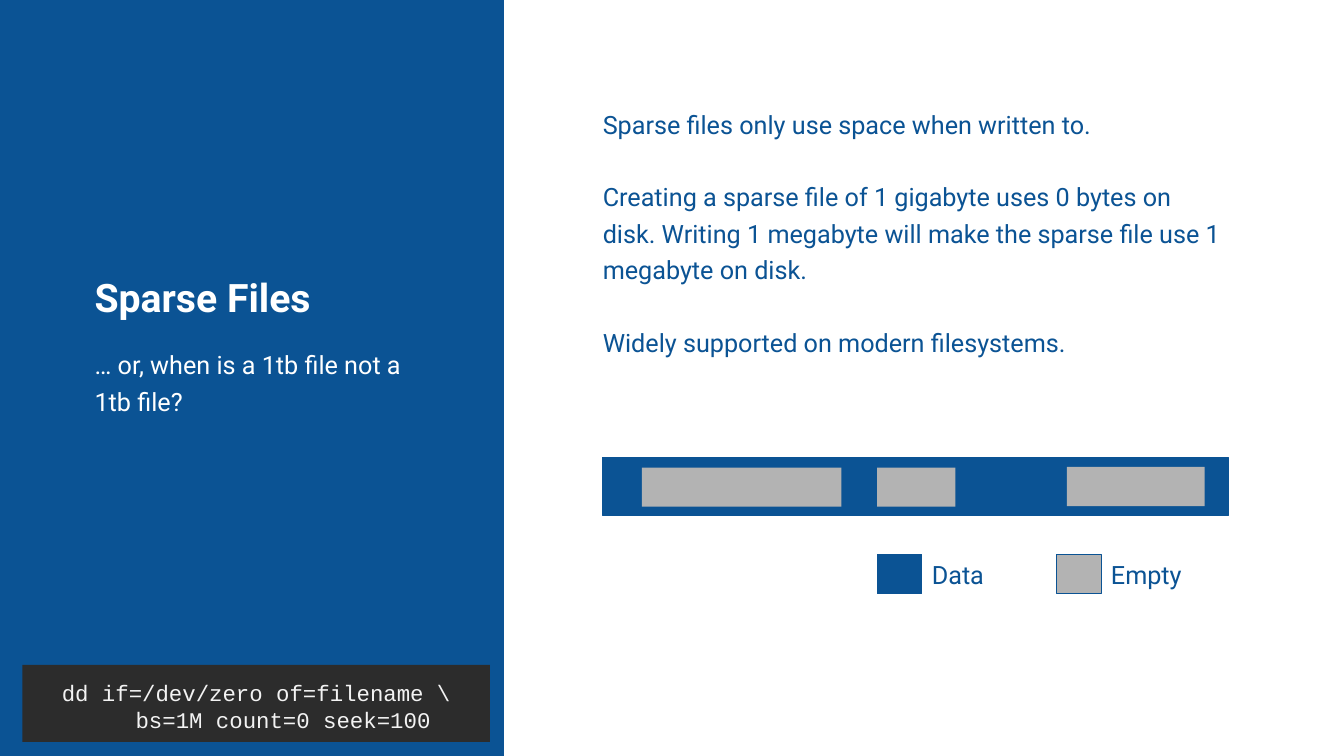
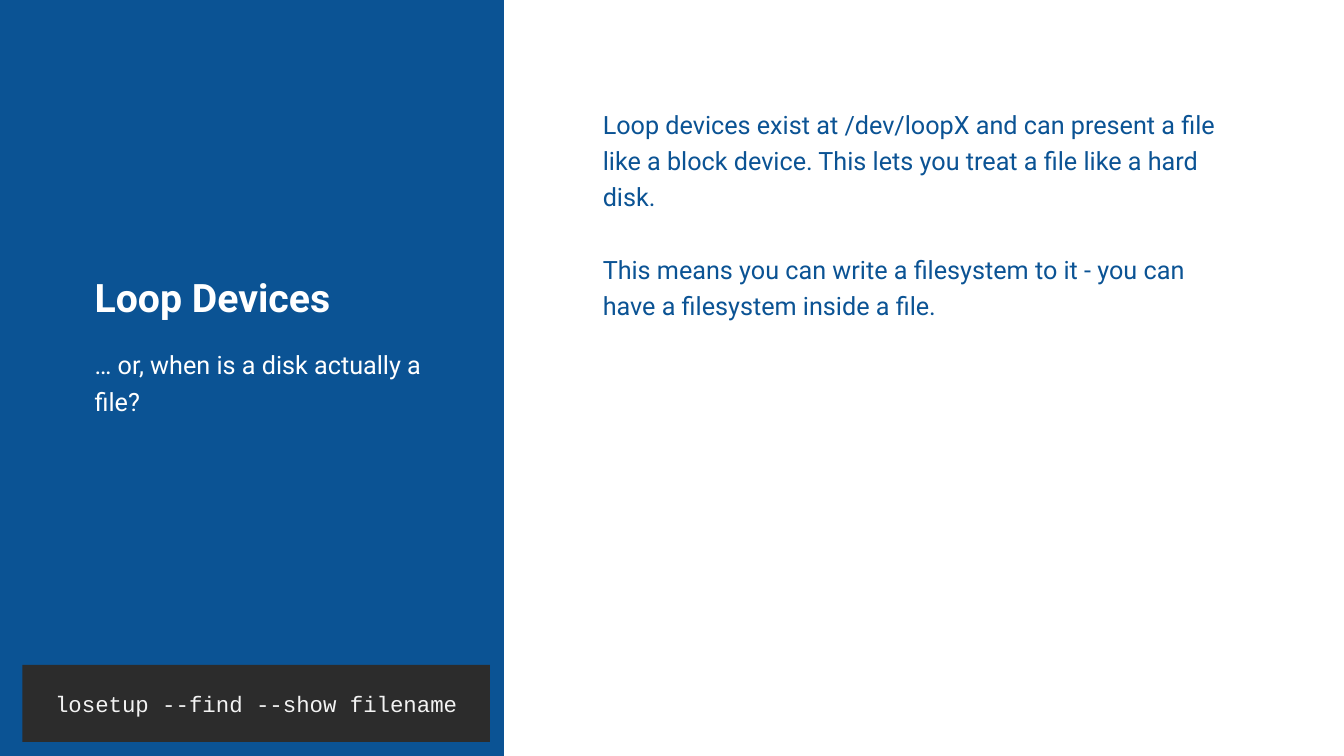
from dataclasses import dataclass

from pptx import Presentation
from pptx.dml.color import RGBColor
from pptx.enum.shapes import MSO_SHAPE
from pptx.enum.text import MSO_ANCHOR, PP_ALIGN
from pptx.shapes.autoshape import Shape
from pptx.slide import Slide
from pptx.util import Pt

RECTANGLE = MSO_SHAPE.RECTANGLE
TOP, MIDDLE = MSO_ANCHOR.TOP, MSO_ANCHOR.MIDDLE
LEFT, CENTER = PP_ALIGN.LEFT, PP_ALIGN.CENTER

BLUE = RGBColor(0x0B, 0x53, 0x94)
GRAY = RGBColor(0xB3, 0xB3, 0xB3)
CHARCOAL = RGBColor(0x2C, 0x2C, 0x2C)
OFF_WHITE = RGBColor(0xF3, 0xF3, 0xF3)
WHITE = RGBColor(0xFF, 0xFF, 0xFF)

SLIDE_WIDTH, SLIDE_HEIGHT = 960, 540
PANEL_WIDTH = 360
PANEL_TEXT_LEFT = 60.5
BLOCK_HEIGHT = 28
CONTINUATION_INDENT = 38.4  # four characters of 16 pt Courier New


@dataclass(frozen=True)
class Box:
    left: float
    top: float
    width: float
    height: float

    def lengths(self) -> tuple[Pt, Pt, Pt, Pt]:
        return Pt(self.left), Pt(self.top), Pt(self.width), Pt(self.height)


@dataclass(frozen=True)
class TextStyle:
    size: float
    color: RGBColor
    font: str = "Roboto"
    bold: bool = False
    line_spacing: float = 1.0
    gap: float = 0
    alignment: PP_ALIGN = LEFT


@dataclass(frozen=True)
class Topic:
    title: str
    subtitle: str
    body: list[str]
    body_height: float
    command: list[str]


@dataclass(frozen=True)
class LegendEntry:
    label: str
    left: float
    label_width: float
    color: RGBColor


TITLE = TextStyle(28, WHITE, bold=True)
SUBTITLE = TextStyle(18, WHITE, line_spacing=1.2)
BODY = TextStyle(18, BLUE, line_spacing=1.2, gap=26)
LABEL = TextStyle(18, BLUE)
COMMAND = TextStyle(16, OFF_WHITE, font="Courier New", alignment=CENTER)

SPARSE_FILES = Topic(
    "Sparse Files",
    "… or, when is a 1tb file not a 1tb file?",
    [
        "Sparse files only use space when written to.",
        "Creating a sparse file of 1 gigabyte uses 0 bytes on disk. "
        "Writing 1 megabyte will make the sparse file use 1 megabyte on disk.",
        "Widely supported on modern filesystems.",
    ],
    207.5,
    ["dd if=/dev/zero of=filename \\", "bs=1M count=0 seek=100"],
)
LOOP_DEVICES = Topic(
    "Loop Devices",
    "… or, when is a disk actually a file?",
    [
        "Loop devices exist at /dev/loopX and can present a file like a "
        "block device. This lets you treat a file like a hard disk.",
        "This means you can write a filesystem to it - you can have a "
        "filesystem inside a file.",
    ],
    369.5,
    ["losetup --find --show filename"],
)

FILE_BAR = Box(430.5, 327, 447, 41)
EMPTY_BLOCKS = [
    Box(458.5, 334, 142.5, BLOCK_HEIGHT),
    Box(626.5, 334, 56, BLOCK_HEIGHT),
    Box(762, 333.5, 98.5, BLOCK_HEIGHT),
]
LEGEND_TOP = 396
SWATCH_WIDTH = 32
LEGEND = [
    LegendEntry("Data", 626.5, 65, BLUE),
    LegendEntry("Empty", 754.5, 83, GRAY),
]


def add_rectangle(
    slide: Slide, box: Box, fill: RGBColor, line: RGBColor | None = None
) -> Shape:
    shape = slide.shapes.add_shape(RECTANGLE, *box.lengths())
    shape.shadow.inherit = False
    shape.fill.solid()
    shape.fill.fore_color.rgb = fill
    if line is None:
        shape.line.fill.background()
    else:
        shape.line.color.rgb = line
        shape.line.width = Pt(0.75)
    return shape


def write_text(
    shape: Shape, texts: list[str], style: TextStyle, anchor: MSO_ANCHOR = TOP
) -> None:
    frame = shape.text_frame
    frame.word_wrap = True
    frame.vertical_anchor = anchor
    for index, text in enumerate(texts):
        paragraph = frame.add_paragraph() if index else frame.paragraphs[0]
        paragraph.alignment = style.alignment
        paragraph.line_spacing = style.line_spacing
        paragraph.space_before = Pt(style.gap if index else 0)
        run = paragraph.add_run()
        run.text = text
        run.font.name = style.font
        run.font.size = Pt(style.size)
        run.font.bold = style.bold
        run.font.color.rgb = style.color


def add_text(
    slide: Slide,
    box: Box,
    texts: list[str],
    style: TextStyle,
    anchor: MSO_ANCHOR = TOP,
) -> None:
    write_text(slide.shapes.add_textbox(*box.lengths()), texts, style, anchor)


def add_command(slide: Slide, lines: list[str]) -> None:
    """Draw the terminal box; lines after the first are indented."""
    shape = add_rectangle(slide, Box(16, 475, 334, 55), CHARCOAL)
    write_text(shape, lines, COMMAND, MIDDLE)
    first, *continuations = shape.text_frame.paragraphs
    if continuations:
        first.line_spacing = 1.2
    for paragraph in continuations:
        properties = paragraph._p.get_or_add_pPr()
        properties.set("marL", str(Pt(CONTINUATION_INDENT)))


def add_topic_slide(presentation: Presentation, topic: Topic) -> Slide:
    slide = presentation.slides.add_slide(presentation.slide_layouts[6])
    add_rectangle(slide, Box(0, 0, PANEL_WIDTH, SLIDE_HEIGHT), BLUE)
    add_text(slide, Box(PANEL_TEXT_LEFT, 192, 245, 41), [topic.title], TITLE)
    add_text(
        slide, Box(PANEL_TEXT_LEFT, 242, 253, 138), [topic.subtitle], SUBTITLE
    )
    add_text(slide, Box(423.5, 70, 462, topic.body_height), topic.body, BODY)
    add_command(slide, topic.command)
    return slide


def add_file_diagram(slide: Slide) -> None:
    add_rectangle(slide, FILE_BAR, BLUE, BLUE)
    for block in EMPTY_BLOCKS:
        add_rectangle(slide, block, GRAY)
    for entry in LEGEND:
        swatch = Box(entry.left, LEGEND_TOP, SWATCH_WIDTH, BLOCK_HEIGHT)
        add_rectangle(slide, swatch, entry.color, BLUE)
        label = Box(
            entry.left + SWATCH_WIDTH, LEGEND_TOP, entry.label_width, BLOCK_HEIGHT
        )
        add_text(slide, label, [entry.label], LABEL, MIDDLE)


def main() -> None:
    presentation = Presentation()
    presentation.slide_width = Pt(SLIDE_WIDTH)
    presentation.slide_height = Pt(SLIDE_HEIGHT)
    add_file_diagram(add_topic_slide(presentation, SPARSE_FILES))
    add_topic_slide(presentation, LOOP_DEVICES)
    presentation.save("out.pptx")


if __name__ == "__main__":
    main()
